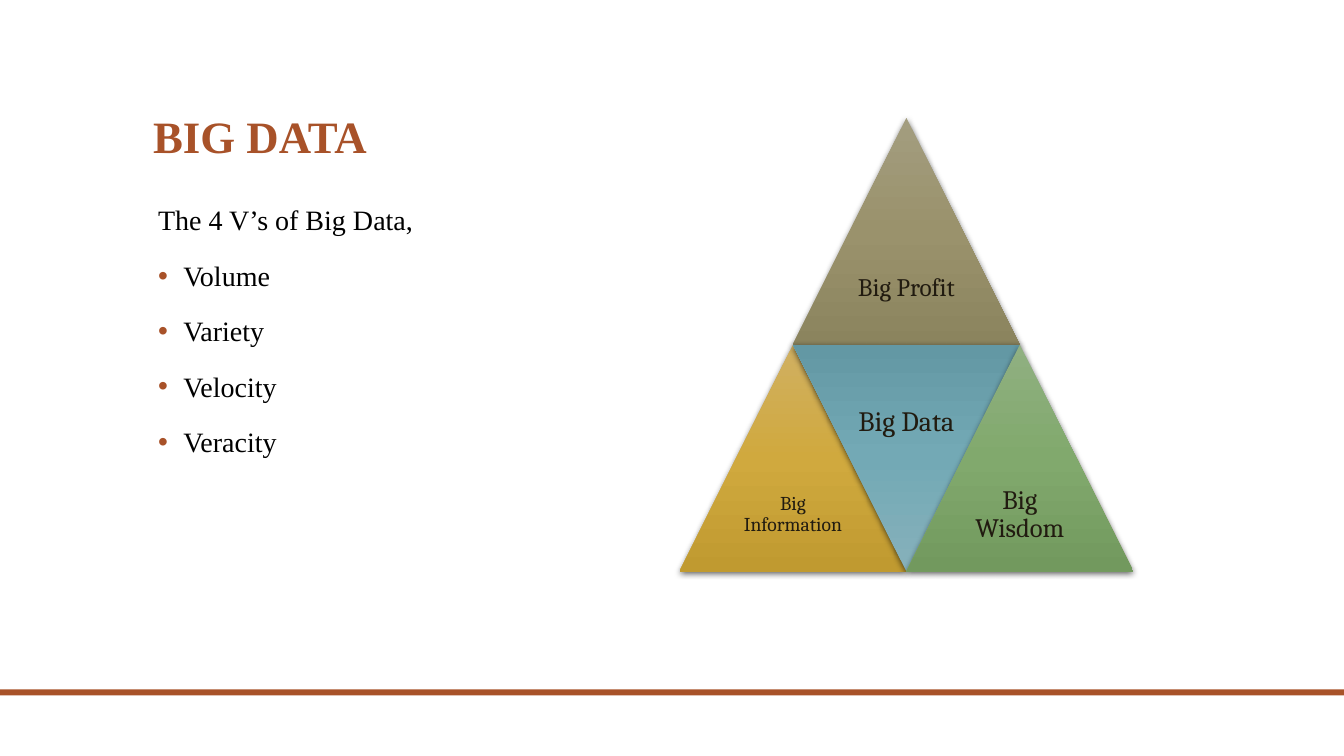
import copy

import pptx
import pptx.dml.color
import pptx.enum.shapes
import pptx.enum.text
import pptx.oxml
import pptx.oxml.ns
import pptx.util
from pptx.util import Inches

RUST = "A85229"
SERIF = "Times New Roman"
SIDE = 2.25
PYRAMID_LEFT, PYRAMID_TOP = 6.74, 1.17
ANCHOR = pptx.enum.text.MSO_ANCHOR
ALIGN = pptx.enum.text.PP_ALIGN
SHAPE = pptx.enum.shapes.MSO_SHAPE
qn = pptx.oxml.ns.qn

TRIANGLES = [
    ("Big Profit", 0.5, 0, 18, 0.07, ("A39D7F", "9A926C", "8B845E")),
    ("Big Information", 0, 1, 14, 0.06, ("D0B062", "D0A93E", "C09A30")),
    ("Big Data", 0.5, 1, 20, 0.08, ("86B1BB", "73A9B5", "6398A4")),
    ("Big Wisdom", 1, 1, 19, 0.08, ("90B081", "81A96D", "72995E")),
]


def color(value):
    return pptx.dml.color.RGBColor.from_string(value)


def set_all(target, values):
    for name, value in values.items():
        setattr(target, name, value)


def add_shape(s, kind, left, top, width, height):
    sp = s.shapes.add_shape(kind, Inches(left), Inches(top), Inches(width), Inches(height))
    sp.shadow.inherit = False
    sp.line.fill.background()
    return sp


def add_box(s, left, top, width, height, frame):
    sp = s.shapes.add_textbox(Inches(left), Inches(top), Inches(width), Inches(height))
    tf = sp.text_frame
    set_all(tf, {"word_wrap": True, **frame})
    return tf


def add_text(p, text, size, font, hex_color, bold=False, **paragraph):
    set_all(p, {"line_spacing": 0.9, **paragraph})
    r = p.add_run()
    r.text = text
    set_all(r.font, {"size": pptx.util.Pt(size), "name": font, "bold": bold})
    r.font.color.rgb = color(hex_color)


def set_indent(p, left, first):
    pPr = p._p.get_or_add_pPr()
    pPr.set("marL", str(Inches(left)))
    pPr.set("indent", str(Inches(first)))
    return pPr


def add_bullet(p):
    pPr = set_indent(p, 0.3, -0.25)
    bullet_color = pptx.oxml.ns.nsdecls("a")
    pPr.append(pptx.oxml.parse_xml(
        f'<a:buClr {bullet_color}><a:srgbClr val="{RUST}"/></a:buClr>'))
    pPr.append(pptx.oxml.parse_xml(
        f'<a:buFont {bullet_color} typeface="Arial"/>'))
    pPr.append(pptx.oxml.parse_xml(f'<a:buChar {bullet_color} char="•"/>'))


def fill_gradient(sp, stops):
    sp.fill.gradient()
    sp.fill.gradient_angle = 270
    gradient = sp._element.spPr.find(".//" + qn("a:gsLst"))
    gradient.append(copy.deepcopy(gradient[0]))
    for i, (stop, value) in enumerate(zip(sp.fill.gradient_stops, stops)):
        stop.position = i / 2
        stop.color.rgb = color(value)


def add_shadow(sp):
    effects = sp._element.spPr.find(qn("a:effectLst"))
    effects.append(pptx.oxml.parse_xml(
        f'<a:outerShdw {pptx.oxml.ns.nsdecls("a")} blurRad="57150" dist="19050" '
        'dir="5400000" algn="ctr" rotWithShape="0">'
        '<a:srgbClr val="000000"><a:alpha val="63000"/></a:srgbClr></a:outerShdw>'))


def add_triangle(s, text, column, row, size, inset, stops):
    inverted = column == 0.5 and row == 1
    left = PYRAMID_LEFT + column * SIDE
    top = PYRAMID_TOP + row * SIDE
    sp = add_shape(s, SHAPE.ISOSCELES_TRIANGLE, left, top, SIDE, SIDE)
    sp.rotation = 180 if inverted else 0
    fill_gradient(sp, stops)
    add_shadow(sp)

    half = SIDE / 2
    frame = {f"margin_{edge}": Inches(inset) for edge in ("left", "right", "top", "bottom")}
    frame["vertical_anchor"] = ANCHOR.MIDDLE
    if inverted:
        frame["margin_top"] = Inches(0.5)
    tf = add_box(s, left + half / 2, top + (0 if inverted else half), half, half, frame)
    add_text(tf.paragraphs[0], text, size, "Cambria", "211B10", alignment=ALIGN.CENTER)


def add_body(s):
    tf = add_box(s, 1.42, 2, 5.17, 4.5, {})
    lines = ["The 4 V’s of Big Data,", "Volume", "Variety", "Velocity", "Veracity"]
    for i, line in enumerate(lines):
        p = tf.add_paragraph() if i else tf.paragraphs[0]
        add_text(p, line, 20, SERIF, "000000", space_before=pptx.util.Pt(18 if i else 0))
        if i:
            add_bullet(p)
        else:
            set_indent(p, 0.05, 0)


def main():
    prs = pptx.Presentation()
    set_all(prs, {"slide_width": Inches(13.33), "slide_height": Inches(7.5)})
    s = prs.slides.add_slide(prs.slide_layouts[6])

    bar = add_shape(s, SHAPE.RECTANGLE, 0, 6.84, 13.33, 0.06)
    bar.fill.solid()
    bar.fill.fore_color.rgb = color(RUST)

    title = add_box(s, 1.42, 0.42, 10.5, 1.25, {"vertical_anchor": ANCHOR.BOTTOM})
    add_text(title.paragraphs[0], "BIG DATA", 32, SERIF, RUST, bold=True)
    add_body(s)
    for triangle in TRIANGLES:
        add_triangle(s, *triangle)
    prs.save("out.pptx")


if __name__ == "__main__":
    main()
